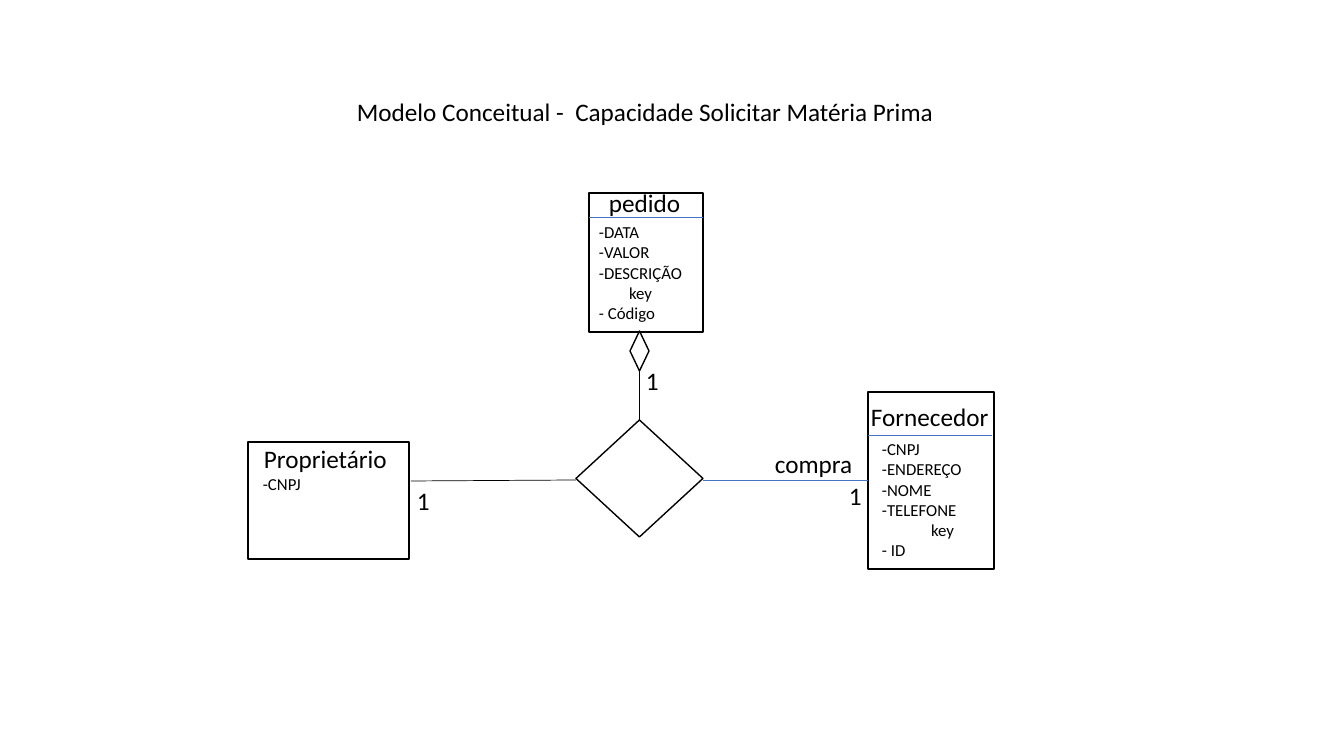
"""Builds the conceptual model slide for requesting raw material."""
import pptx
import pptx.dml.color
import pptx.enum.shapes
import pptx.enum.text
import pptx.oxml
import pptx.oxml.ns
import pptx.util

SCALE = 914400 / 100.8
COLORS = {"black": "000000", "white": "FFFFFF", "blue": "4472C4"}
SHAPES = pptx.enum.shapes.MSO_SHAPE
HEADING_SIZE, DETAIL_SIZE = 18, 12


def emu(*pixels):
    """Turn pixel lengths into EMU."""
    return [pptx.util.Emu(round(pixel * SCALE)) for pixel in pixels]


def color(name):
    """Return the named colour."""
    return pptx.dml.color.RGBColor.from_string(COLORS[name])


def add_outline(slide, kind, box):
    """Add a white shape with a black outline."""
    shape = slide.shapes.add_shape(kind, *emu(*box))
    shape.shadow.inherit = False
    shape.fill.solid()
    shape.fill.fore_color.rgb = color("white")
    shape.line.color.rgb = color("black")
    shape.line.width = pptx.util.Pt(1)


def add_line(slide, start, end, color_name="black"):
    """Add a thin straight line."""
    line = slide.shapes.add_connector(
        pptx.enum.shapes.MSO_CONNECTOR.STRAIGHT, *emu(*start, *end))
    line.line.color.rgb = color(color_name)
    line.line.width = pptx.util.Pt(0.5)
    properties = line._element.spPr
    properties.append(pptx.oxml.parse_xml(
        "<a:effectLst %s/>" % pptx.oxml.ns.nsdecls("a")))


def add_text(slide, box, lines, size=HEADING_SIZE, wrap=False):
    """Add a text box with one paragraph per line, centring the key heading."""
    frame = slide.shapes.add_textbox(*emu(*box)).text_frame
    frame.word_wrap = wrap
    frame.auto_size = pptx.enum.text.MSO_AUTO_SIZE.SHAPE_TO_FIT_TEXT
    frame.text = "\n".join(lines)
    for paragraph in frame.paragraphs:
        paragraph.font.name = "Calibri"
        paragraph.font.size = pptx.util.Pt(size)
        paragraph.font.color.rgb = color("black")
        if paragraph.text == "key":
            paragraph.alignment = pptx.enum.text.PP_ALIGN.CENTER


def add_entity(slide, box, name, name_box, details, details_box,
               divider=None, wrap=False):
    """Add an entity box with its name, attributes and optional divider."""
    add_outline(slide, SHAPES.RECTANGLE, box)
    if divider:
        left, right, top = divider
        add_line(slide, (left, top), (right, top), "blue")
    add_text(slide, name_box, [name])
    add_text(slide, details_box, details, DETAIL_SIZE, wrap)


def main():
    """Build and save the slide."""
    presentation = pptx.Presentation()
    presentation.slide_width, presentation.slide_height = emu(1344, 756)
    slide = presentation.slides.add_slide(presentation.slide_layouts[6])

    add_entity(slide, (248, 442, 161, 117), "Proprietário",
               (254, 438, 144, 40), ["-CNPJ"], (253, 469, 58, 30))
    add_entity(slide, (868, 392, 126, 177), "Fornecedor",
               (861, 396, 139, 40),
               ["-CNPJ", "-ENDEREÇO", "-NOME", "-TELEFONE", "key", "- ID"],
               (872, 434, 141, 132), (868, 992, 435), wrap=True)
    add_entity(slide, (589, 193, 114, 139), "pedido", (599, 182, 93, 40),
               ["-DATA", "-VALOR", "-DESCRIÇÃO", "key", "- Código"],
               (589, 217, 104, 112), (589, 703, 217))

    add_line(slide, (411, 481), (576, 480))
    add_line(slide, (703, 480), (868, 480), "blue")
    add_line(slide, (639, 420), (639, 356))
    add_outline(slide, SHAPES.DIAMOND, (576, 420, 127, 117))
    add_outline(slide, SHAPES.DIAMOND, (630, 331, 19, 40))

    for left, top in [(407, 480), (839, 475), (636, 360)]:
        add_text(slide, (left, top, 33, 40), ["1"])
    add_text(slide, (765, 443, 99, 40), ["compra"])
    add_text(slide, (347, 91, 604, 40),
             ["Modelo Conceitual -  Capacidade Solicitar Matéria Prima"])

    presentation.save("out.pptx")


main()
